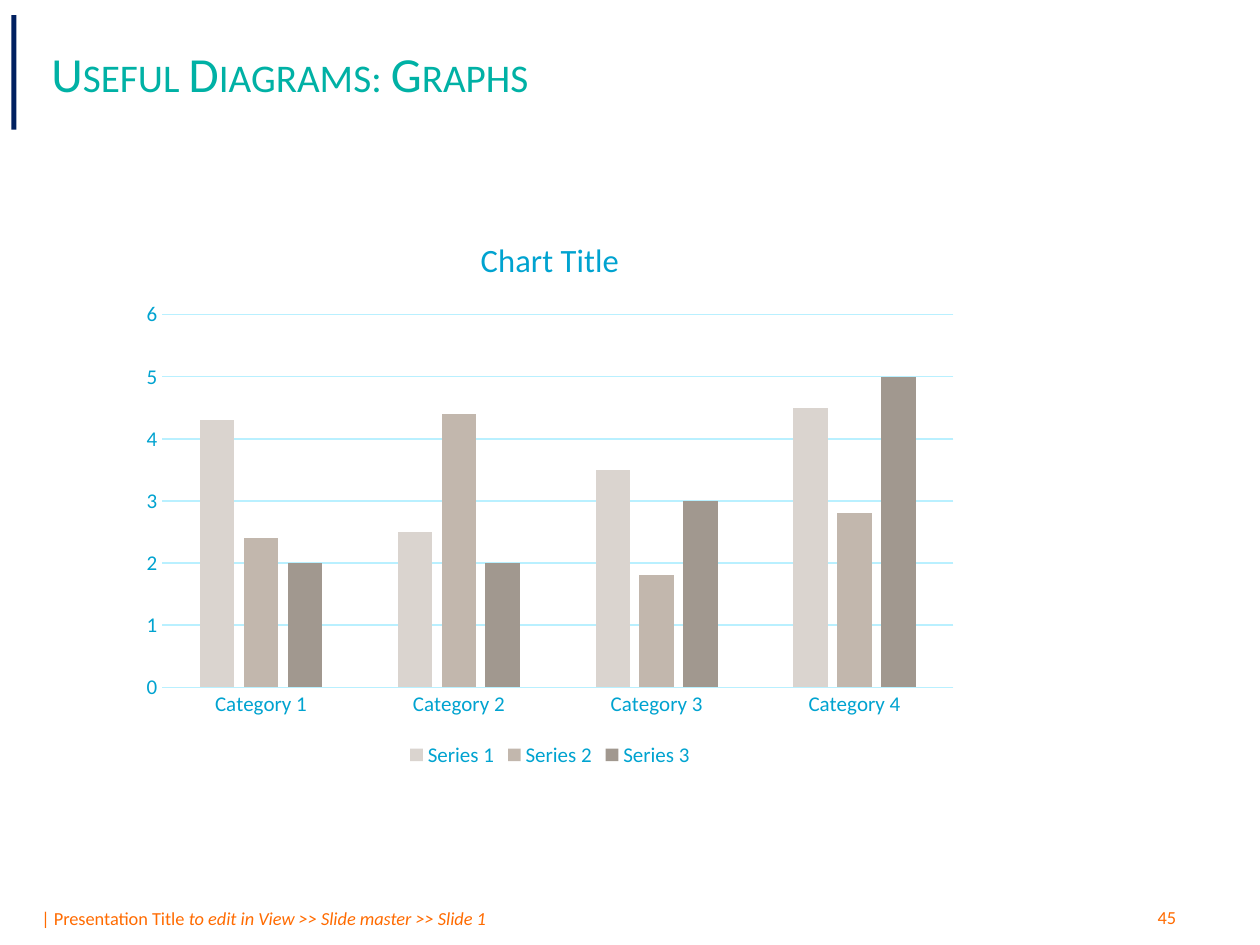
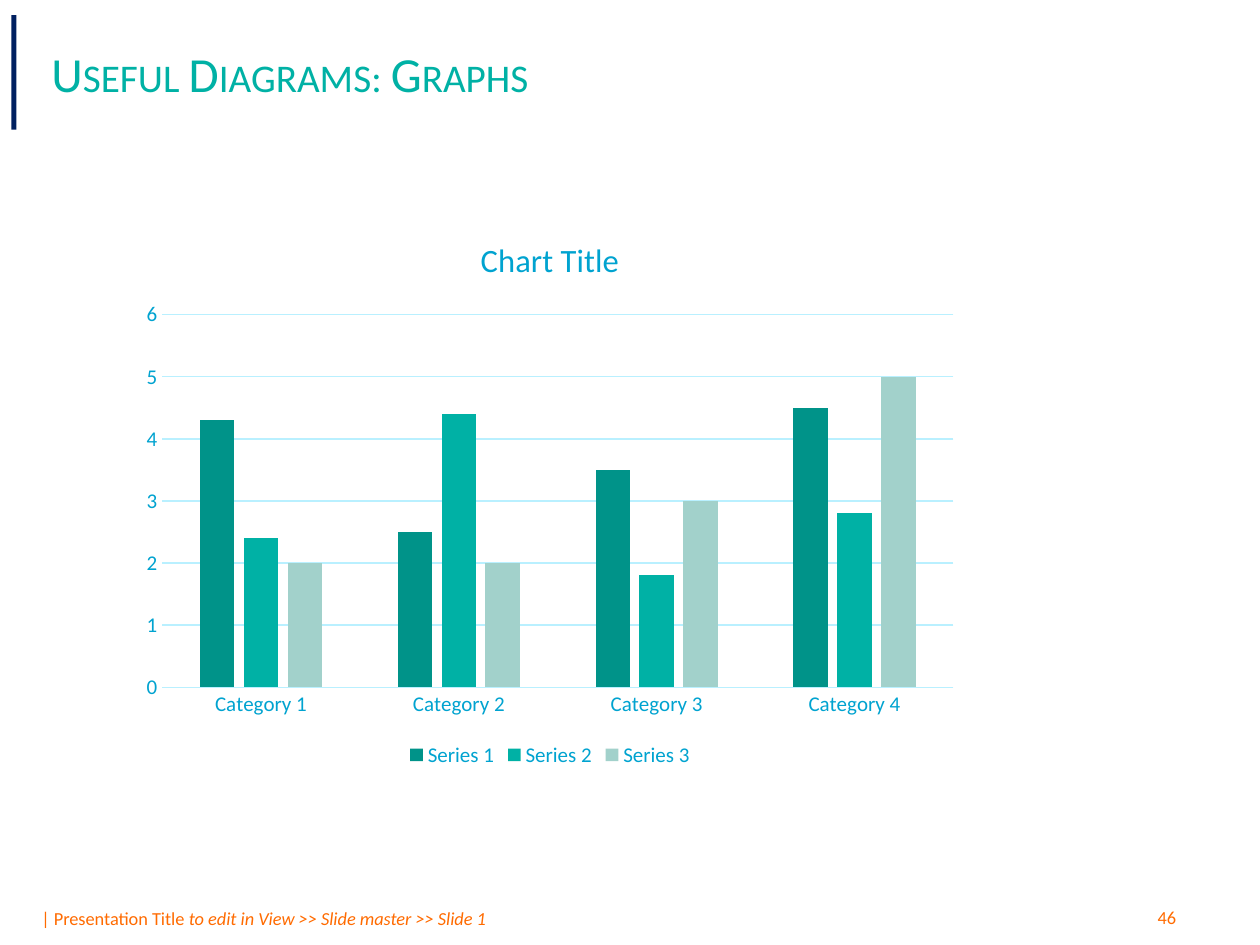
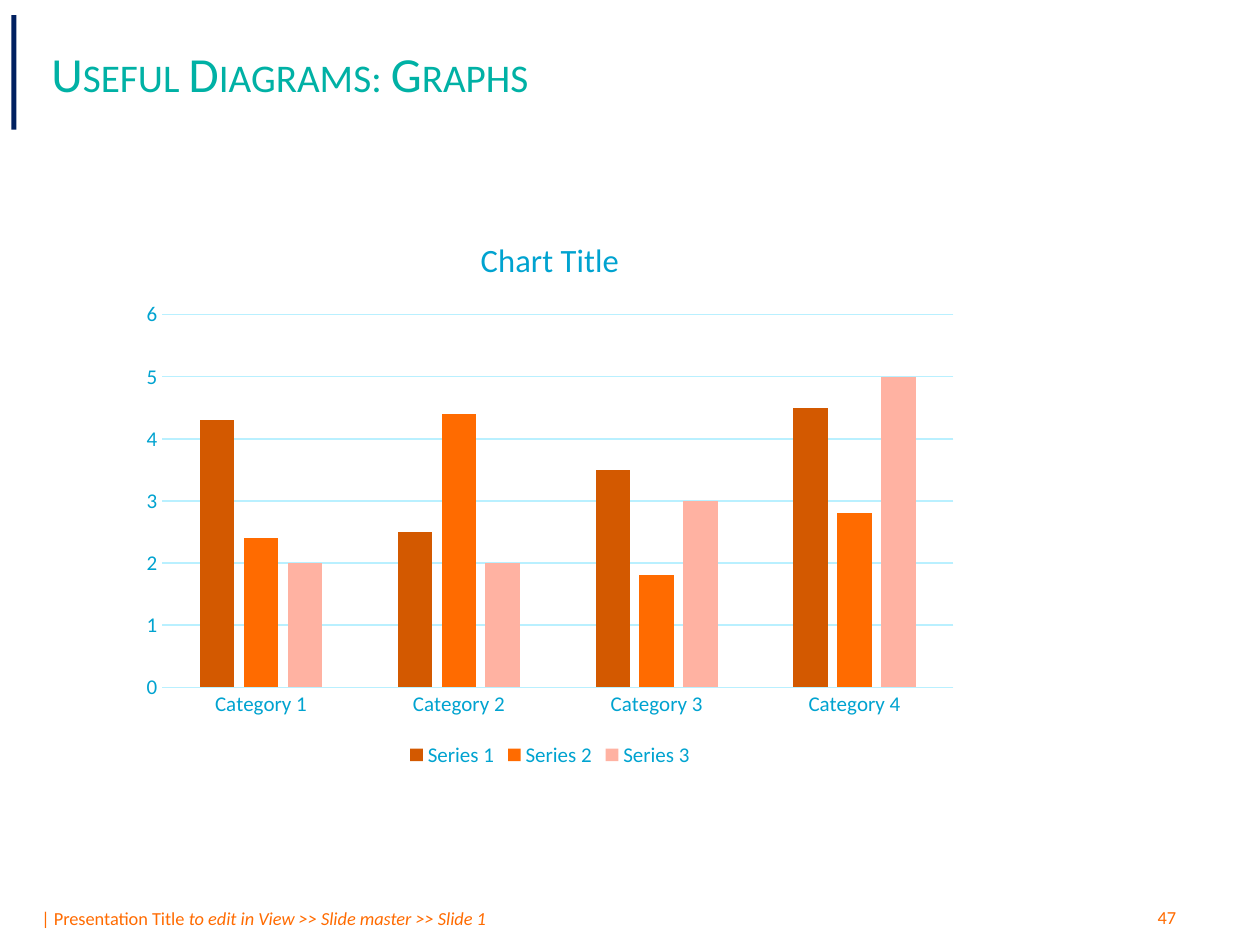
from pptx import Presentation
from pptx.chart.data import CategoryChartData
from pptx.dml.color import RGBColor
from pptx.enum.chart import XL_CHART_TYPE, XL_LEGEND_POSITION, XL_TICK_MARK
from pptx.enum.shapes import MSO_SHAPE
from pptx.enum.text import MSO_ANCHOR
from pptx.util import Pt

CLUSTERED = XL_CHART_TYPE.COLUMN_CLUSTERED
BOTTOM = XL_LEGEND_POSITION.BOTTOM
NO_TICK = XL_TICK_MARK.NONE
RECTANGLE = MSO_SHAPE.RECTANGLE
TOP, MIDDLE = MSO_ANCHOR.TOP, MSO_ANCHOR.MIDDLE

FONT = "Calibri"
NAVY, TEAL, ORANGE = "002060", "00B1A5", "FF6B00"
DARK, BLUE, PALE_BLUE = "00242E", "00A3D0", "B9F0FF"

FIRST_PAGE = 45
CATEGORIES = [f"Category {number}" for number in range(1, 5)]
SERIES_VALUES = [(4.3, 2.5, 3.5, 4.5), (2.4, 4.4, 1.8, 2.8), (2, 2, 3, 5)]
PALETTES = [
    ("DAD4CF", "C2B7AD", "A1988F"),
    ("009389", TEAL, "A2D1CB"),
    ("D35900", ORANGE, "FFB2A2"),
]


def color(value):
    return RGBColor.from_string(value)


class Deck:
    def __init__(self):
        self.presentation = Presentation()
        self.presentation.slide_width = Pt(720)
        self.presentation.slide_height = Pt(540)
        self.slide = None

    def add_slide(self, title, page):
        layout = self.presentation.slide_layouts[6]
        self.slide = self.presentation.slides.add_slide(layout)
        self.add_text((16.56, 514.8, 590.4, 20.16), [
            ("| Presentation Title ", False),
            ("to edit in View >> Slide master >> Slide 1", True),
        ])
        self.add_text((654.48, 514.08, 57.6, 20.16), [(str(page), False)])
        self.add_bar((6.48, 8.64, 2.88, 65.52), NAVY)
        self.add_text((22.32, 18, 532.08, 47.52), [(title, False)],
                      size=28, fill=TEAL, anchor=MIDDLE, small_caps=True)

    def style_font(self, font, size, fill):
        font.name = FONT
        font.size = Pt(size)
        font.bold = False
        font.color.rgb = color(fill)

    def add_text(self, box, runs, size=10.5, fill=ORANGE, anchor=TOP, small_caps=False):
        frame = self.slide.shapes.add_textbox(*map(Pt, box)).text_frame
        frame.word_wrap = True
        frame.vertical_anchor = anchor
        paragraph = frame.paragraphs[0]
        for text, italic in runs:
            run = paragraph.add_run()
            run.text = text
            self.style_font(run.font, size, fill)
            run.font.italic = italic
            if small_caps:
                run.font._element.set("cap", "small")

    def add_bar(self, box, fill):
        shape = self.slide.shapes.add_shape(RECTANGLE, *map(Pt, box))
        shape.shadow.inherit = False
        shape.fill.solid()
        shape.fill.fore_color.rgb = color(fill)
        shape.line.fill.background()

    def style_line(self, line):
        line.color.rgb = color(PALE_BLUE)
        line.width = Pt(0.75)

    def add_column_chart(self, box, title, palette):
        data = CategoryChartData()
        data.categories = CATEGORIES
        for number, values in enumerate(SERIES_VALUES, 1):
            data.add_series(f"Series {number}", values)
        chart = self.slide.shapes.add_chart(CLUSTERED, *map(Pt, box), data).chart
        self.style_font(chart.font, 10, DARK)

        chart.has_title = True
        run = chart.chart_title.text_frame.paragraphs[0].add_run()
        run.text = title
        self.style_font(run.font, 18.6, BLUE)

        chart.has_legend = True
        chart.legend.position = BOTTOM
        chart.legend.include_in_layout = False
        self.style_font(chart.legend.font, 12, BLUE)

        category_axis, value_axis = chart.category_axis, chart.value_axis
        for axis in (category_axis, value_axis):
            axis.major_tick_mark = axis.minor_tick_mark = NO_TICK
            self.style_font(axis.tick_labels.font, 12, BLUE)
        self.style_line(category_axis.format.line)
        value_axis.format.line.fill.background()
        value_axis.minimum_scale, value_axis.maximum_scale = 0, 6
        value_axis.major_unit = 1
        self.style_line(value_axis.major_gridlines.format.line)

        plot = chart.plots[0]
        plot.gap_width = 219
        plot.overlap = -27
        plot.vary_by_categories = False
        for series, fill in zip(plot.series, palette):
            series.format.fill.solid()
            series.format.fill.fore_color.rgb = color(fill)


def main():
    deck = Deck()
    for page, palette in enumerate(PALETTES, FIRST_PAGE):
        deck.add_slide("Useful Diagrams: Graphs", page)
        deck.add_column_chart((74.16, 121.68, 480.24, 319.68), "Chart Title", palette)
    deck.presentation.save("out.pptx")


if __name__ == "__main__":
    main()
